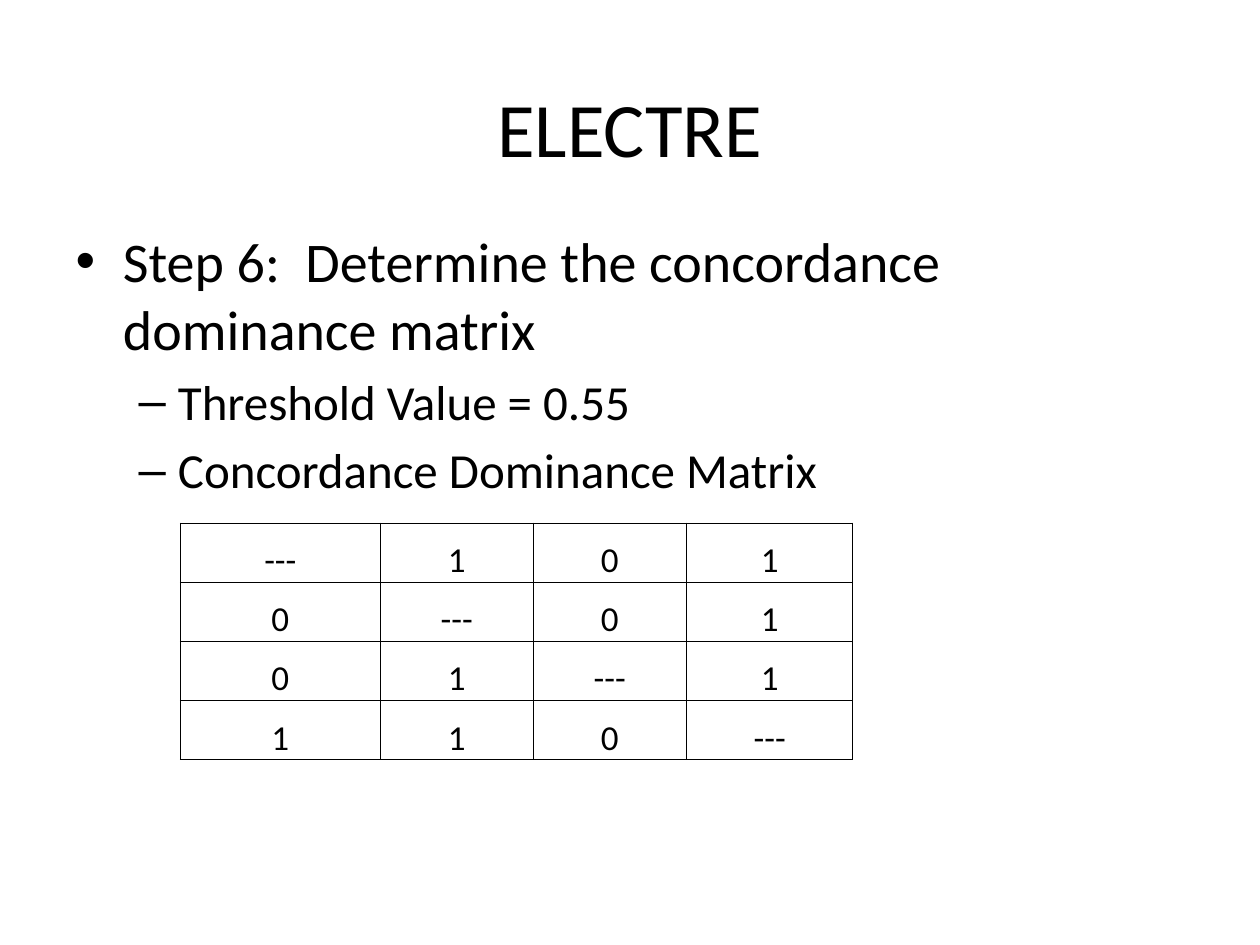
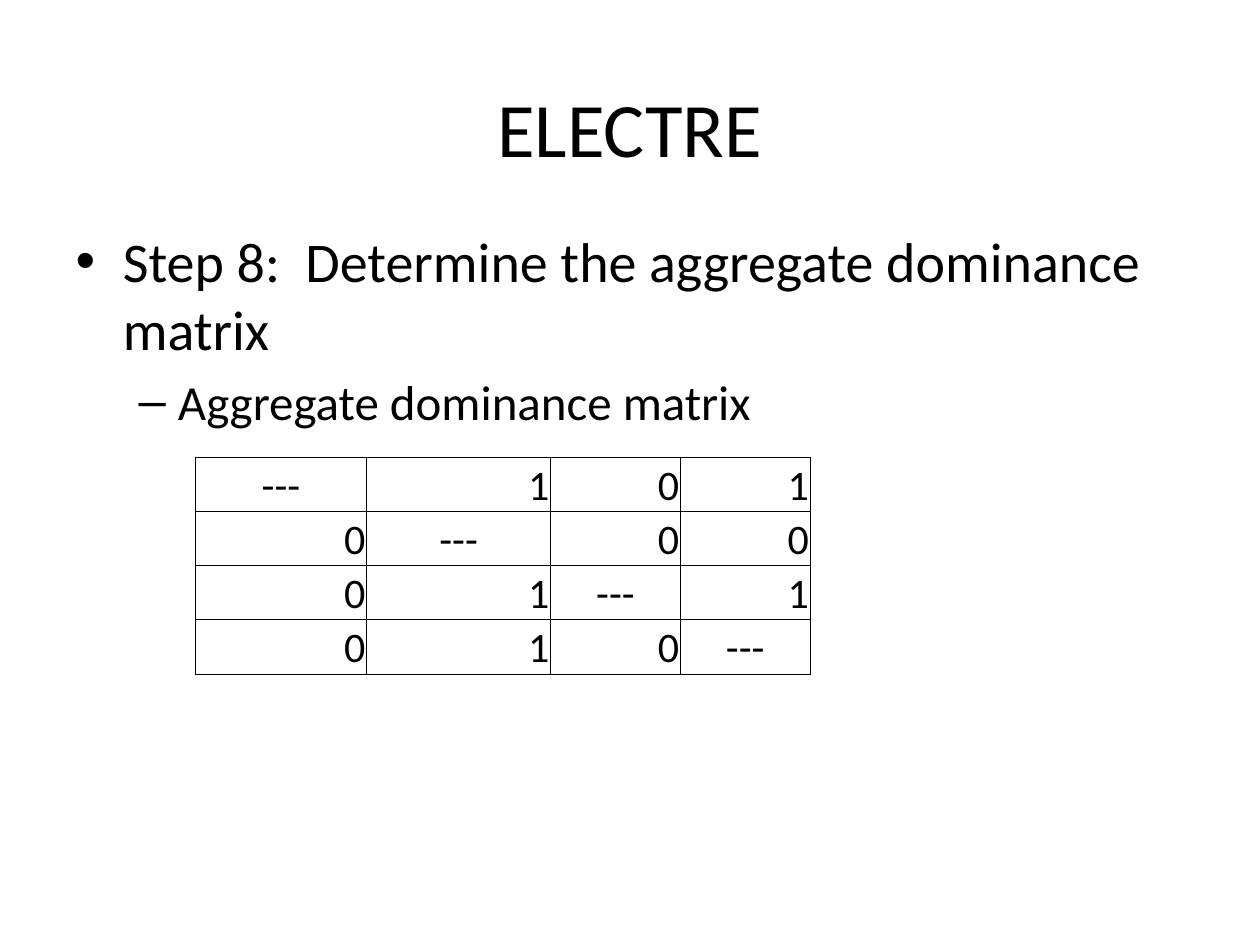
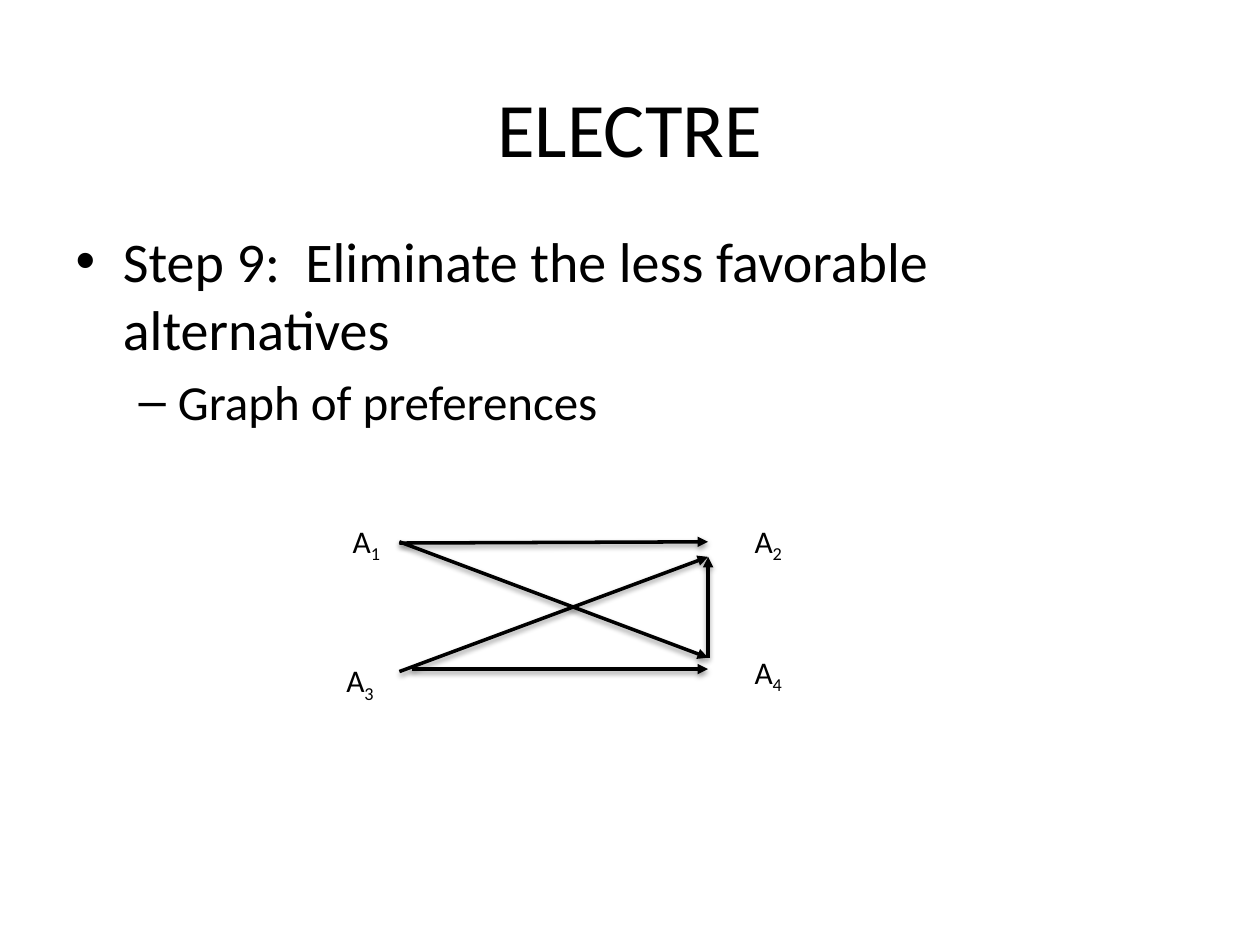
from lxml.etree import SubElement
from pptx import Presentation
from pptx.dml.color import RGBColor
from pptx.enum.shapes import MSO_CONNECTOR
from pptx.enum.text import MSO_ANCHOR, PP_ALIGN
from pptx.oxml import parse_xml
from pptx.oxml.ns import nsdecls, qn
from pptx.util import Inches, Pt

COLORS = {"ink": "000000"}
FONT = "Calibri"


def style(par, size):
    """Set the font of one paragraph."""
    par.font.name = FONT
    par.font.size = Pt(size)
    par.font.color.rgb = RGBColor.from_string(COLORS["ink"])


def place(shape, left, top, width, height):
    """Move and size a shape, in inches."""
    shape.left, shape.top = Inches(left), Inches(top)
    shape.width, shape.height = Inches(width), Inches(height)


def add_slide(deck, step, points):
    """Add a slide with the shared title, a step and its points."""
    slide = deck.slides.add_slide(deck.slide_layouts[1])
    title, body = slide.placeholders
    place(title, 0.5, 0.38, 9, 1.25)
    title.text_frame.text = "ELECTRE"
    style(title.text_frame.paragraphs[0], 44)
    place(body, 0.5, 1.75, 9, 4.95)
    body.text_frame.text = "\n".join([step, *points])
    for i, par in enumerate(body.text_frame.paragraphs):
        par.level = min(i, 1)
        style(par, 28 if i else 32)
    return slide


def add_border(cell):
    """Draw a thin line on each side of a cell."""
    props = cell._tc.get_or_add_tcPr()
    for i, side in enumerate("LRTB"):
        props.insert(i, parse_xml(
            f'<a:ln{side} {nsdecls("a")} w="{Pt(0.5)}"><a:solidFill>'
            f'<a:srgbClr val="{COLORS["ink"]}"/></a:solidFill></a:ln{side}>'))


def add_matrix(slide, left, top, widths, height, rows, size, align):
    """Add a bordered matrix with a centred diagonal."""
    frame = slide.shapes.add_table(
        len(rows), len(widths), Inches(left), Inches(top),
        Inches(sum(widths)), Inches(height * len(rows)))
    table = frame.table
    table.first_row = table.horz_banding = False
    for col, width in zip(table.columns, widths):
        col.width = Inches(width)
    for r, row in enumerate(rows):
        for c, value in enumerate(row.split()):
            cell = table.cell(r, c)
            cell.text = value
            cell.fill.background()
            cell.vertical_anchor = MSO_ANCHOR.BOTTOM
            cell.margin_left = cell.margin_right = cell.margin_top = Inches(0.01)
            cell.margin_bottom = 0
            par = cell.text_frame.paragraphs[0]
            par.alignment = PP_ALIGN.CENTER if r == c else align
            style(par, size)
            add_border(cell)


def add_arrow(slide, start, end):
    """Add an arrow with a soft shadow below it."""
    ends = [Inches(n) for n in (*start, *end)]
    arrow = slide.shapes.add_connector(MSO_CONNECTOR.STRAIGHT, *ends)
    arrow.line.width = Pt(2)
    arrow.line.color.rgb = RGBColor.from_string(COLORS["ink"])
    SubElement(arrow.line._get_or_add_ln(), qn("a:tailEnd"), type="triangle")
    arrow._element.spPr.append(parse_xml(
        f'<a:effectLst {nsdecls("a")}><a:outerShdw blurRad="{Pt(3.1)}" '
        f'dist="{Pt(1.6)}" dir="5400000" rotWithShape="0">'
        f'<a:srgbClr val="{COLORS["ink"]}"><a:alpha val="38000"/></a:srgbClr>'
        '</a:outerShdw></a:effectLst>'))


def add_node(slide, index, left, top):
    """Add the label of one alternative."""
    box = slide.shapes.add_textbox(
        Inches(left), Inches(top), Inches(0.47), Inches(0.4))
    par = box.text_frame.paragraphs[0]
    par.add_run().text = "A"
    sub = par.add_run()
    sub.text = index
    style(par, 18)
    sub.font._element.set("baseline", "-25000")


def add_graph(slide):
    """Draw the graph of preferences."""
    west, east = 3.17, 5.62
    arrows = [
        ((west, 4.31), (east, 4.3)),
        ((west, 4.3), (east, 5.22)),
        ((east, 5.22), (east, 4.42)),
        ((west, 5.33), (east, 4.42)),
        ((3.27, 5.31), (east, 5.31)),
    ]
    for start, end in arrows:
        add_arrow(slide, start, end)
    nodes = [("1", 2.7, 4.09), ("3", 2.65, 5.2), ("2", 5.89, 4.09), ("4", 5.89, 5.13)]
    for node in nodes:
        add_node(slide, *node)


def main():
    """Build and save the deck."""
    deck = Presentation()
    deck.slide_width, deck.slide_height = Inches(10), Inches(7.5)

    slide = add_slide(deck, "Step 6:  Determine the concordance dominance matrix",
                      ["Threshold Value = 0.55", "Concordance Dominance Matrix"])
    add_matrix(slide, 1.43, 4.15, [1.59, 1.21, 1.22, 1.32], 0.47,
               ["--- 1 0 1", "0 --- 0 1", "0 1 --- 1", "1 1 0 ---"],
               20, PP_ALIGN.CENTER)

    slide = add_slide(deck, "Step 8:  Determine the aggregate dominance matrix",
                      ["Aggregate dominance matrix"])
    add_matrix(slide, 1.55, 3.63, [1.36, 1.46, 1.03, 1.03], 0.43,
               ["--- 1 0 1", "0 --- 0 0", "0 1 --- 1", "0 1 0 ---"],
               24, PP_ALIGN.RIGHT)

    slide = add_slide(deck, "Step 9:  Eliminate the less favorable alternatives",
                      ["Graph of preferences"])
    add_graph(slide)
    deck.save("out.pptx")


if __name__ == "__main__":
    main()
